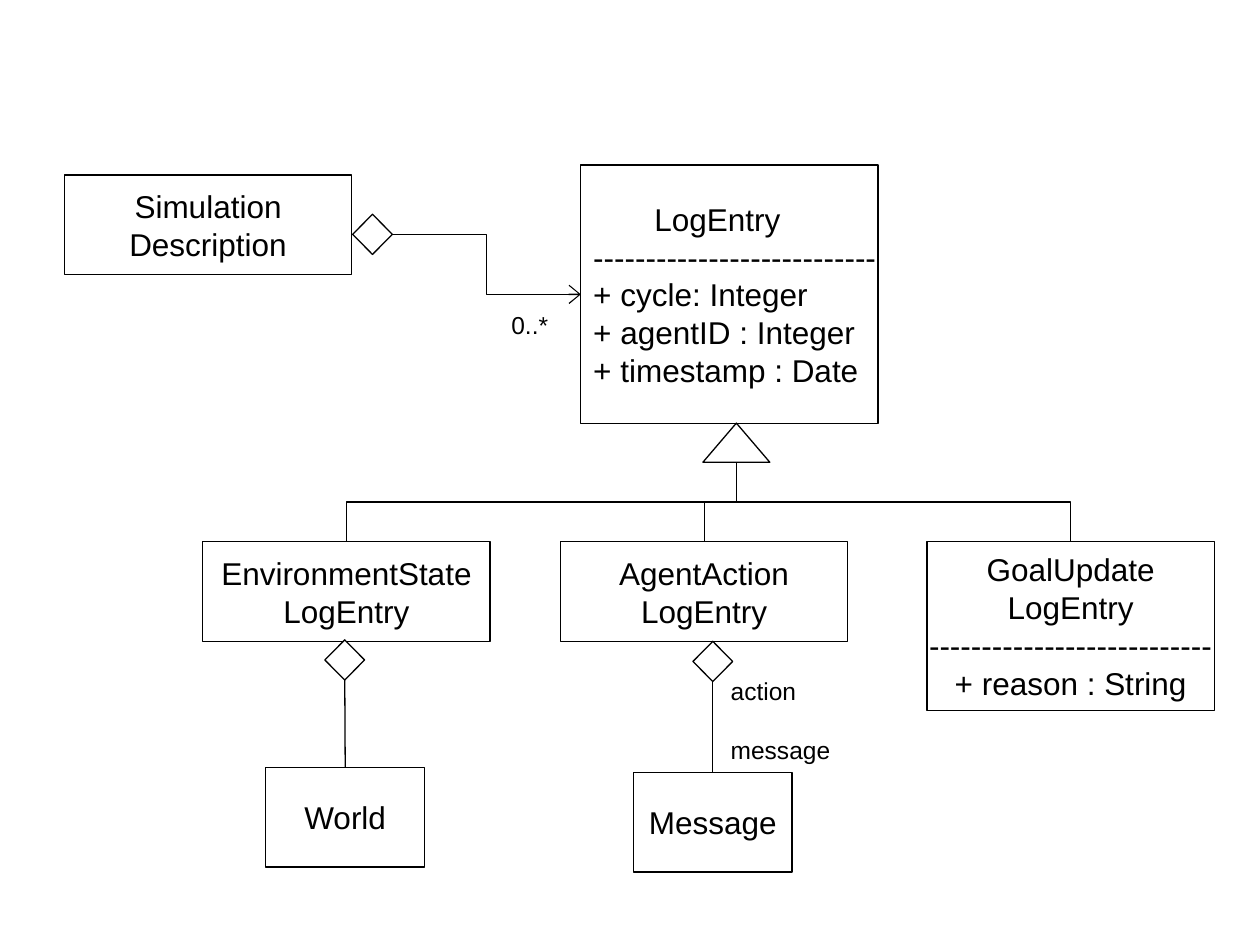
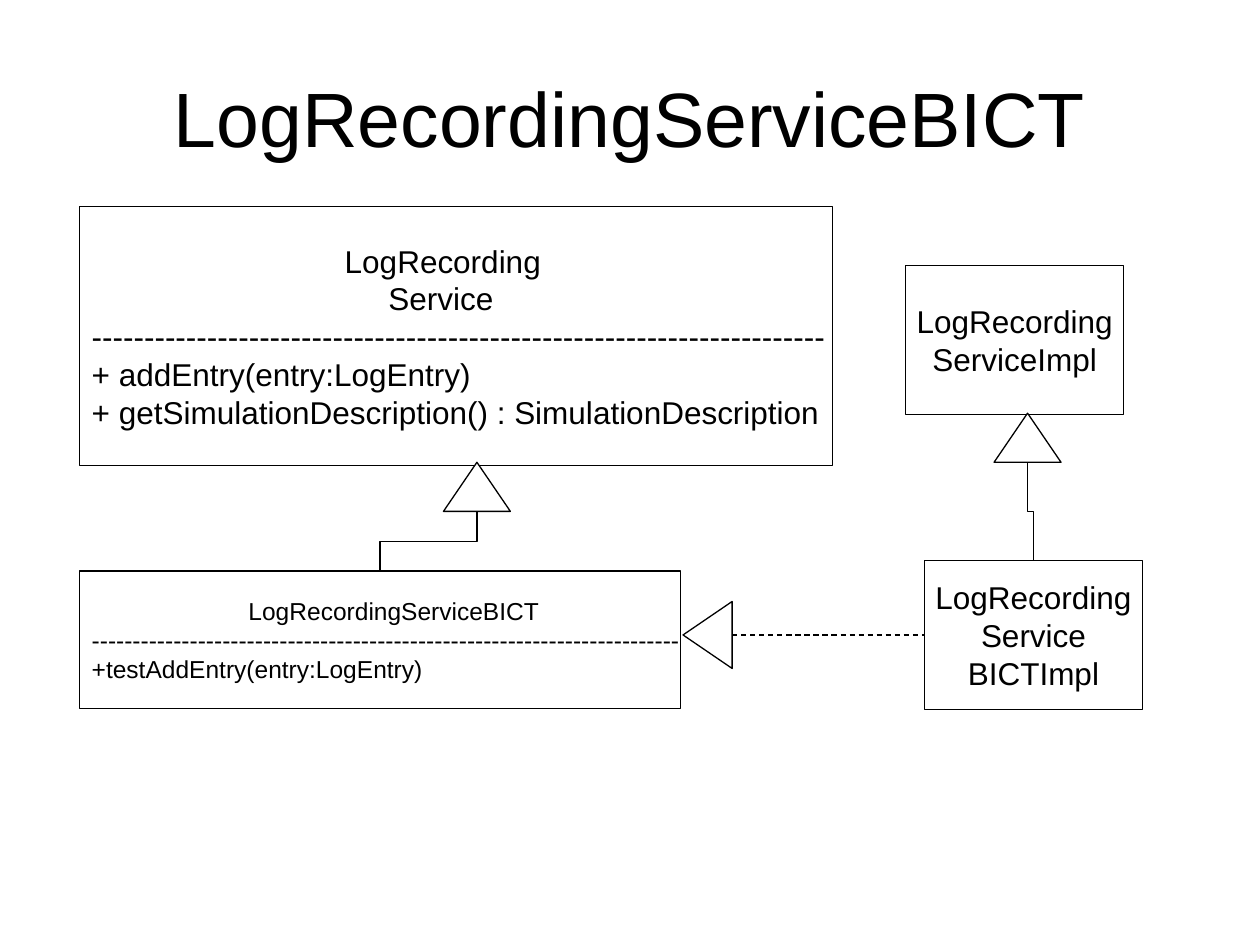
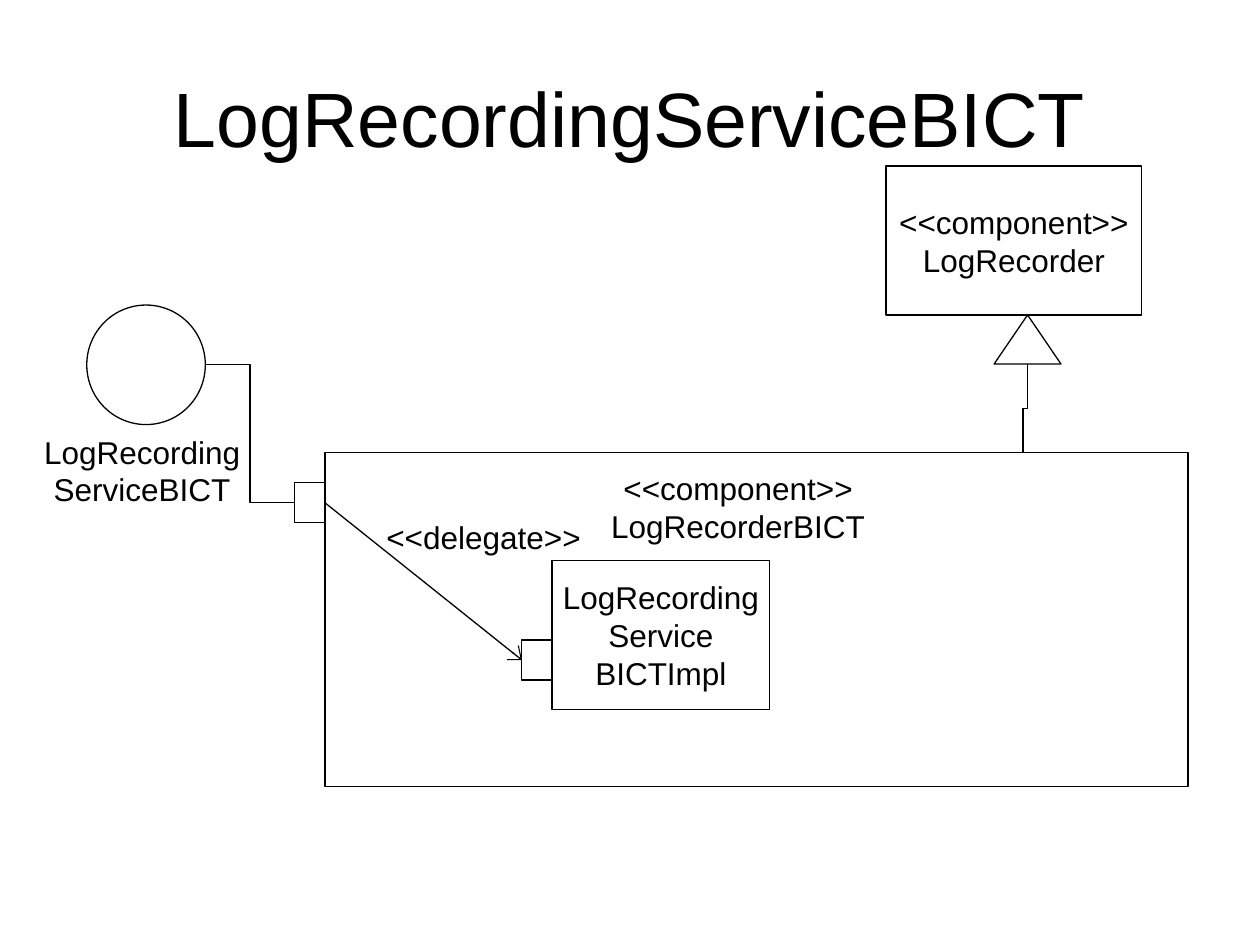
"""Build three UML slides about log entries and the log recording service."""
from dataclasses import dataclass

from lxml.etree import SubElement
from pptx import Presentation
from pptx.dml.color import RGBColor
from pptx.enum.dml import MSO_LINE
from pptx.enum.shapes import MSO_CONNECTOR, MSO_SHAPE
from pptx.enum.text import MSO_ANCHOR, MSO_AUTO_SIZE, PP_ALIGN
from pptx.oxml.ns import qn
from pptx.util import Cm, Pt

BLACK = RGBColor(0x00, 0x00, 0x00)
WHITE = RGBColor(0xFF, 0xFF, 0xFF)
FONT = "Arial"
TITLE = "LogRecordingServiceBICT"
TITLE_LAYOUT, BLANK_LAYOUT = 5, 6
TOP, LEFT, BOTTOM, RIGHT = range(4)
DIAMOND_SIZE = (0.8, 0.81)
PORT_SIZE = (0.61, 0.81)
TRIANGLE_SIZE = (1.35, 0.99)
CLASS_SIZE = (5.79, 2.01)
PART_SIZE = (3.2, 2.01)
SERVICE_SIZE = (4.39, 3)
BICT_IMPL = ("LogRecording", "Service", "BICTImpl")
FRAME_FORMAT = {
    "margin_left": Cm(0.25), "margin_right": Cm(0.25),
    "margin_top": Cm(0.13), "margin_bottom": Cm(0.13),
}
TIGHT_SIDES = {"margin_left": 0, "margin_right": 0}


@dataclass
class Box:
    """A rectangle in centimetres."""
    left: float
    top: float
    width: float
    height: float

    def inside(self, left, top, width, height):
        """Return a box placed relative to this one."""
        return Box(self.left + left, self.top + top, width, height)

    def lengths(self):
        """Return the four sides as lengths."""
        return [Cm(side) for side in (self.left, self.top, self.width, self.height)]


def apply_format(target, values):
    """Set each named attribute of the target."""
    for name, value in values.items():
        setattr(target, name, value)


def write_lines(frame, lines, size=18, align=PP_ALIGN.CENTER, gap=0, **frame_format):
    """Write one paragraph per line; a (text, indent) pair shifts its line."""
    apply_format(frame, {"word_wrap": False, **FRAME_FORMAT, **frame_format})
    for index, line in enumerate(lines):
        text, indent = line if isinstance(line, tuple) else (line, 0)
        para = frame.paragraphs[0] if index == 0 else frame.add_paragraph()
        para.alignment = align
        if gap and index:
            para.space_before = Pt(gap)
        if indent:
            para._p.get_or_add_pPr().set("marL", str(Cm(indent)))
        span = para.add_run()
        span.text = text
        apply_format(span.font, {"name": FONT, "size": Pt(size)})
        span.font.color.rgb = BLACK


def draw_line(line):
    """Give a line the shared colour and width."""
    line.color.rgb = BLACK
    line.width = Pt(0.75)


def add_outline(page, box, kind=MSO_SHAPE.RECTANGLE):
    """Add a white shape with a thin black outline."""
    shape = page.shapes.add_shape(kind, *box.lengths())
    shape.shadow.inherit = False
    shape.fill.solid()
    shape.fill.fore_color.rgb = WHITE
    draw_line(shape.line)
    return shape


def add_class(page, box, lines, **text_format):
    """Add a class rectangle with its lines of text."""
    shape = add_outline(page, box)
    write_lines(shape.text_frame, lines, vertical_anchor=MSO_ANCHOR.MIDDLE, **text_format)
    return shape


def add_label(page, box, lines, **text_format):
    """Add free text in a frame that fits it."""
    label = page.shapes.add_textbox(*box.lengths())
    write_lines(label.text_frame, lines, auto_size=MSO_AUTO_SIZE.SHAPE_TO_FIT_TEXT,
                **text_format)


def add_link(page, start, end, kind=MSO_CONNECTOR.STRAIGHT, arrow=False):
    """Add a connector between two points."""
    link = page.shapes.add_connector(kind, *start, *end)
    draw_line(link.line)
    properties = link.element.spPr
    if arrow:
        SubElement(properties.find(qn("a:ln")), qn("a:tailEnd"), type="arrow", w="lg")
    SubElement(properties, qn("a:effectLst"))
    return link


def join(page, source, source_side, target, target_side, arrow=False):
    """Join the sides of two shapes with a straight connector."""
    link = add_link(page, (0, 0), (0, 0), arrow=arrow)
    link.begin_connect(source, source_side)
    link.end_connect(target, target_side)


def step_right(page, source, target, arrow=False):
    """Step from the right of one shape to the left of another."""
    start = (source.left + source.width, source.top + source.height // 2)
    end = (target.left, target.top + target.height // 2)
    add_link(page, start, end, MSO_CONNECTOR.ELBOW, arrow)


def step_down(page, source, target, end_x=None):
    """Step from the bottom of one shape down to the top of another."""
    start_x = source.left + source.width // 2
    start_y = source.top + source.height
    end_x = end_x or target.left + target.width // 2
    length, shift = target.top - start_y, abs(end_x - start_x)
    left = (start_x + end_x - length) // 2
    top = (start_y + target.top - shift) // 2
    link = add_link(page, (left, top), (left + length, top + shift), MSO_CONNECTOR.ELBOW)
    transform = link.element.spPr.find(qn("a:xfrm"))
    turn = {"rot": "5400000"} if end_x < start_x else {"rot": "16200000", "flipH": "1"}
    for name, value in turn.items():
        transform.set(name, value)


def add_generalization(page, box, children, end_x=None):
    """Add an inheritance triangle and step down to each child."""
    triangle = add_outline(page, box, MSO_SHAPE.ISOSCELES_TRIANGLE)
    for child in children:
        step_down(page, triangle, child, end_x)


def add_page(deck, title=None):
    """Add a slide, with the shared title style when it has a title."""
    page = deck.slides.add_slide(deck.slide_layouts[TITLE_LAYOUT if title else BLANK_LAYOUT])
    if title:
        holder = page.shapes.title
        sides = Box(1.27, 0.76, 22.86, 3.18).lengths()
        apply_format(holder, dict(zip(("left", "top", "width", "height"), sides)))
        write_lines(holder.text_frame, [title], size=44, word_wrap=True,
                    vertical_anchor=MSO_ANCHOR.MIDDLE)
    return page


def draw_entry_model(page, box):
    """Draw the log entry classes and their parts."""
    entry = add_class(page, box.inside(10.41, 0, 5.99, 5.21), [
        ("LogEntry", 1.23), "-" * 27, "+ cycle: Integer",
        "+ agentID : Integer", "+ timestamp : Date"], align=PP_ALIGN.LEFT)
    add_class(page, box.inside(0, 0.2, *CLASS_SIZE), ["Simulation", "Description"])
    environment = add_class(page, box.inside(2.79, 7.59, *CLASS_SIZE),
                            ["EnvironmentState", "LogEntry"])
    action = add_class(page, box.inside(10, 7.59, *CLASS_SIZE), ["AgentAction", "LogEntry"])
    goal = add_class(page, box.inside(17.39, 7.59, 5.79, 3.4),
                     ["GoalUpdate", "LogEntry", "-" * 27, "+ reason : String"])
    world = add_class(page, box.inside(4.06, 12.14, *PART_SIZE), ["World"])
    message = add_class(page, box.inside(11.47, 12.24, *PART_SIZE), ["Message"])
    add_generalization(page, box.inside(12.87, 5.2, 1.35, 0.79), [environment, action, goal])
    simulation_end, world_end, message_end = [
        add_outline(page, box.inside(left, top, *DIAMOND_SIZE), MSO_SHAPE.DIAMOND)
        for left, top in ((5.81, 0.99), (5.25, 9.57), (12.67, 9.6))]
    join(page, world_end, BOTTOM, world, TOP)
    join(page, message_end, BOTTOM, message, TOP)
    step_right(page, simulation_end, entry, arrow=True)
    add_label(page, box.inside(13.18, 10.16, 2.54, 2.03), ["action", "message"],
              size=14, align=PP_ALIGN.LEFT, gap=17, word_wrap=True)
    add_label(page, box.inside(8.76, 2.79, 1.24, 0.86), ["0..*"], size=14, **TIGHT_SIDES)


def draw_service_model(page, box):
    """Draw the service interfaces and their implementations."""
    bict = add_class(page, box.inside(0, 7.34, 12.12, 2.77), [
        ("LogRecordingServiceBICT", 3.16), "-" * 72, "+testAddEntry(entry:LogEntry)"],
        size=14, align=PP_ALIGN.LEFT)
    add_class(page, box.inside(0, 0, 15.19, 5.21), [
        ("LogRecording", 5.1), ("Service", 5.98), "-" * 70, "+ addEntry(entry:LogEntry)",
        "+ getSimulationDescription() : SimulationDescription"], align=PP_ALIGN.LEFT)
    bict_impl = add_class(page, box.inside(17.04, 7.13, *SERVICE_SIZE), BICT_IMPL)
    add_class(page, box.inside(16.66, 1.19, *SERVICE_SIZE), ["LogRecording", "ServiceImpl"])
    add_generalization(page, box.inside(7.34, 5.15, *TRIANGLE_SIZE), [bict])
    add_generalization(page, box.inside(18.44, 4.16, *TRIANGLE_SIZE), [bict_impl])
    realization = add_outline(page, box.inside(11.99, 8.15, *TRIANGLE_SIZE),
                              MSO_SHAPE.ISOSCELES_TRIANGLE)
    realization.rotation = 270
    middle = bict_impl.top + bict_impl.height // 2
    realization.top = middle - realization.height // 2
    base = realization.left + (realization.width + realization.height) // 2
    link = add_link(page, (base, middle), (bict_impl.left, middle))
    link.end_connect(bict_impl, LEFT)
    link.line.dash_style = MSO_LINE.DASH


def draw_component_model(page, box):
    """Draw the recorder component with its ports and delegate."""
    recorder = add_outline(page, box.inside(5.91, 5.77, 17.4, 6.73))
    interface = add_outline(page, box.inside(1.11, 2.8, 2.39, 2.41), MSO_SHAPE.OVAL)
    outer_port = add_outline(page, box.inside(5.3, 6.38, *PORT_SIZE))
    step_right(page, interface, outer_port)
    add_label(page, box.inside(0, 5.24, 4.45, 1.78), ["LogRecording", "ServiceBICT"],
              **TIGHT_SIDES)
    add_label(page, box.inside(7.89, 5.97, 12.7, 1.78),
              ["<<component>>", "LogRecorderBICT"], word_wrap=True)
    add_class(page, box.inside(10.49, 7.95, *SERVICE_SIZE), BICT_IMPL)
    inner_port = add_outline(page, box.inside(9.88, 9.55, *PORT_SIZE))
    join(page, outer_port, RIGHT, inner_port, LEFT, arrow=True)
    add_label(page, box.inside(6.9, 6.96, 4.42, 1.02), ["<<delegate>>"], **TIGHT_SIDES)
    add_class(page, box.inside(17.22, 0, 5.16, 3), ["<<component>>", "LogRecorder"])
    add_generalization(page, box.inside(19.4, 3, *TRIANGLE_SIZE), [recorder],
                       end_x=Cm(box.left + 19.98))


def main():
    """Build and save the deck."""
    deck = Presentation()
    deck.slide_width, deck.slide_height = Cm(25.4), Cm(19.05)
    draw_entry_model(add_page(deck), Box(1.3, 3.33, 23.18, 14.25))
    draw_service_model(add_page(deck, TITLE), Box(1.6, 4.17, 21.43, 10.13))
    draw_component_model(add_page(deck, TITLE), Box(0.64, 3.35, 23.31, 12.5))
    deck.save("out.pptx")


if __name__ == "__main__":
    main()
